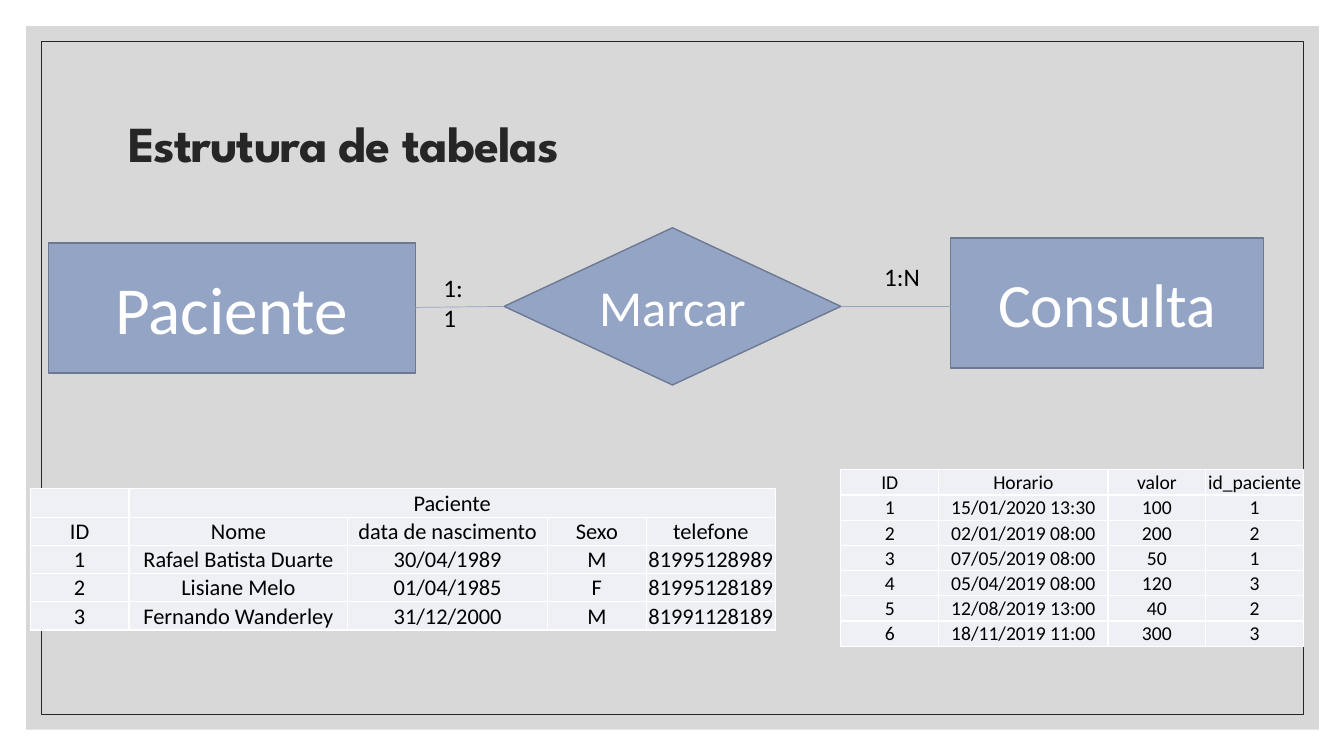
from lxml.etree import SubElement
from pptx import Presentation
from pptx.dml.color import RGBColor
from pptx.enum.shapes import MSO_CONNECTOR, MSO_SHAPE
from pptx.enum.text import MSO_ANCHOR as Anchor, PP_ALIGN as Align
from pptx.oxml import parse_xml
from pptx.oxml.ns import nsdecls, qn
from pptx.util import Inches, Pt

COLORS = {
    "backdrop": "BFBFBF",
    "ink": "262626",
    "black": "000000",
    "white": "FFFFFF",
    "entity": "94A4C5",
    "outline": "6D7992",
    "cell": "EEF0F5",
}

APPOINTMENTS = [
    ["ID", "Horario", "valor", "id_paciente"],
    ["1", "15/01/2020 13:30", "100", "1"],
    ["2", "02/01/2019 08:00", "200", "2"],
    ["3", "07/05/2019 08:00", "50", "1"],
    ["4", "05/04/2019 08:00", "120", "3"],
    ["5", "12/08/2019 13:00", "40", "2"],
    ["6", "18/11/2019 11:00", "300", "3"],
]
PATIENTS = [
    ["", "Paciente", "", "", ""],
    ["ID", "Nome", "data de nascimento", "Sexo", "telefone"],
    ["1", "Rafael Batista Duarte", "30/04/1989", "M", "81995128989"],
    ["2", "Lisiane Melo", "01/04/1985", "F", "81995128189"],
    ["3", "Fernando Wanderley", "31/12/2000", "M", "81991128189"],
]


def color(name):
    return RGBColor.from_string(COLORS[name])


class SlideBuilder:
    def __init__(self, slide, font="Calibri"):
        self.slide = slide
        self.shapes = slide.shapes
        self.font = font

    def style(self, paragraph, size, color_name, align=Align.LEFT, font=None):
        paragraph.alignment = align
        paragraph.font.name = font or self.font
        paragraph.font.size = Pt(size)
        paragraph.font.color.rgb = color(color_name)

    def box(self, kind, bounds, fill=None, line=None, width=1):
        shape = self.shapes.add_shape(kind, *map(Inches, bounds))
        shape.shadow.inherit = False
        if fill:
            shape.fill.solid()
            shape.fill.fore_color.rgb = color(fill)
        else:
            shape.fill.background()
        if line:
            shape.line.color.rgb = color(line)
            shape.line.width = Pt(width)
        else:
            shape.line.fill.background()
        return shape

    def backdrop(self):
        """Translucent panel with a thin frame inside it."""
        panel = self.box(MSO_SHAPE.RECTANGLE, (0.26, 0.26, 12.82, 6.98), "backdrop")
        fill_color = panel.fill._xPr.find(qn("a:solidFill"))[0]
        SubElement(fill_color, qn("a:alpha"), val="60000")
        self.box(MSO_SHAPE.RECTANGLE, (0.41, 0.41, 12.52, 6.68), line="ink", width=0.5)

    def title(self, text, bounds):
        title = self.shapes.title
        title.left, title.top, title.width, title.height = map(Inches, bounds)
        # The placeholder belongs above the backdrop
        self.shapes._spTree.append(title._element)
        title.text_frame.text = text
        title.text_frame.vertical_anchor = Anchor.MIDDLE
        paragraph = title.text_frame.paragraphs[0]
        self.style(paragraph, 36, "ink", font="League Spartan")
        paragraph.font.bold = True
        paragraph.line_spacing = 0.9
        paragraph.runs[0]._r.get_or_add_rPr().set("spc", "-70")

    def entity(self, kind, text, bounds, size):
        shape = self.box(kind, bounds, "entity", "outline")
        shape.text_frame.text = text
        shape.text_frame.vertical_anchor = Anchor.MIDDLE
        self.style(shape.text_frame.paragraphs[0], size, "white", Align.CENTER)

    def link(self, start, end):
        line = self.shapes.add_connector(
            MSO_CONNECTOR.STRAIGHT, *map(Inches, (*start, *end)))
        line.line.color.rgb = color("entity")
        line.line.width = Pt(0.5)
        SubElement(line._element.spPr, qn("a:effectLst"))

    def label(self, text, bounds):
        frame = self.shapes.add_textbox(*map(Inches, bounds)).text_frame
        frame.word_wrap = True
        frame.text = text
        self.style(frame.paragraphs[0], 18, "black")

    def table(self, rows, left, top, widths, row_height, size):
        frame = self.shapes.add_table(
            len(rows), len(widths), Inches(left), Inches(top),
            Inches(sum(widths)), Inches(row_height * len(rows)))
        table = frame.table
        table.first_row = table.horz_banding = False
        for column, width in zip(table.columns, widths):
            column.width = Inches(width)
        for row_index, row in enumerate(rows):
            table.rows[row_index].height = Inches(row_height)
            for column_index, text in enumerate(row):
                self.fill_cell(table.cell(row_index, column_index), text, size)
        return table

    def fill_cell(self, cell, text, size):
        cell.text = text
        cell.vertical_anchor = Anchor.BOTTOM
        cell.margin_left = cell.margin_right = cell.margin_top = Inches(0.01)
        cell.margin_bottom = 0
        self.style(cell.text_frame.paragraphs[0], size, "black", Align.CENTER)
        properties = cell._tc.get_or_add_tcPr()
        for side in ("lnL", "lnR", "lnT", "lnB"):
            properties.append(parse_xml(
                f'<a:{side} {nsdecls("a")} w="12700"><a:solidFill>'
                f'<a:srgbClr val="{COLORS["white"]}"/></a:solidFill></a:{side}>'))
        cell.fill.solid()
        cell.fill.fore_color.rgb = color("cell")


def main():
    presentation = Presentation()
    presentation.slide_width = Inches(13.33)
    presentation.slide_height = Inches(7.5)
    title_only = presentation.slide_layouts[5]
    builder = SlideBuilder(presentation.slides.add_slide(title_only))

    builder.backdrop()
    builder.title("Estrutura de tabelas", (1.17, 0.7, 11, 1.5))
    builder.table(APPOINTMENTS, 8.34, 4.66, [0.97, 1.68, 0.97, 0.97], 0.25, 14)

    builder.entity(MSO_SHAPE.RECTANGLE, "Paciente", (0.48, 2.41, 3.64, 1.29), 48)
    builder.entity(MSO_SHAPE.RECTANGLE, "Consulta", (9.43, 2.36, 3.1, 1.29), 44)
    builder.entity(MSO_SHAPE.DIAMOND, "Marcar", (5, 2.26, 3.34, 1.56), 36)
    builder.link((4.12, 3.05), (5, 3.04))
    builder.link((8.34, 3.04), (9.43, 3.04))
    builder.label("1:1", (4.3, 2.65, 0.51, 0.4))
    builder.label("1:N", (8.67, 2.54, 0.58, 0.4))

    patients = builder.table(
        PATIENTS, 0.3, 4.85, [0.98, 2.17, 1.98, 0.98, 1.28], 0.28, 16)
    patients.cell(0, 1).merge(patients.cell(0, 4))

    presentation.save("out.pptx")


if __name__ == "__main__":
    main()
